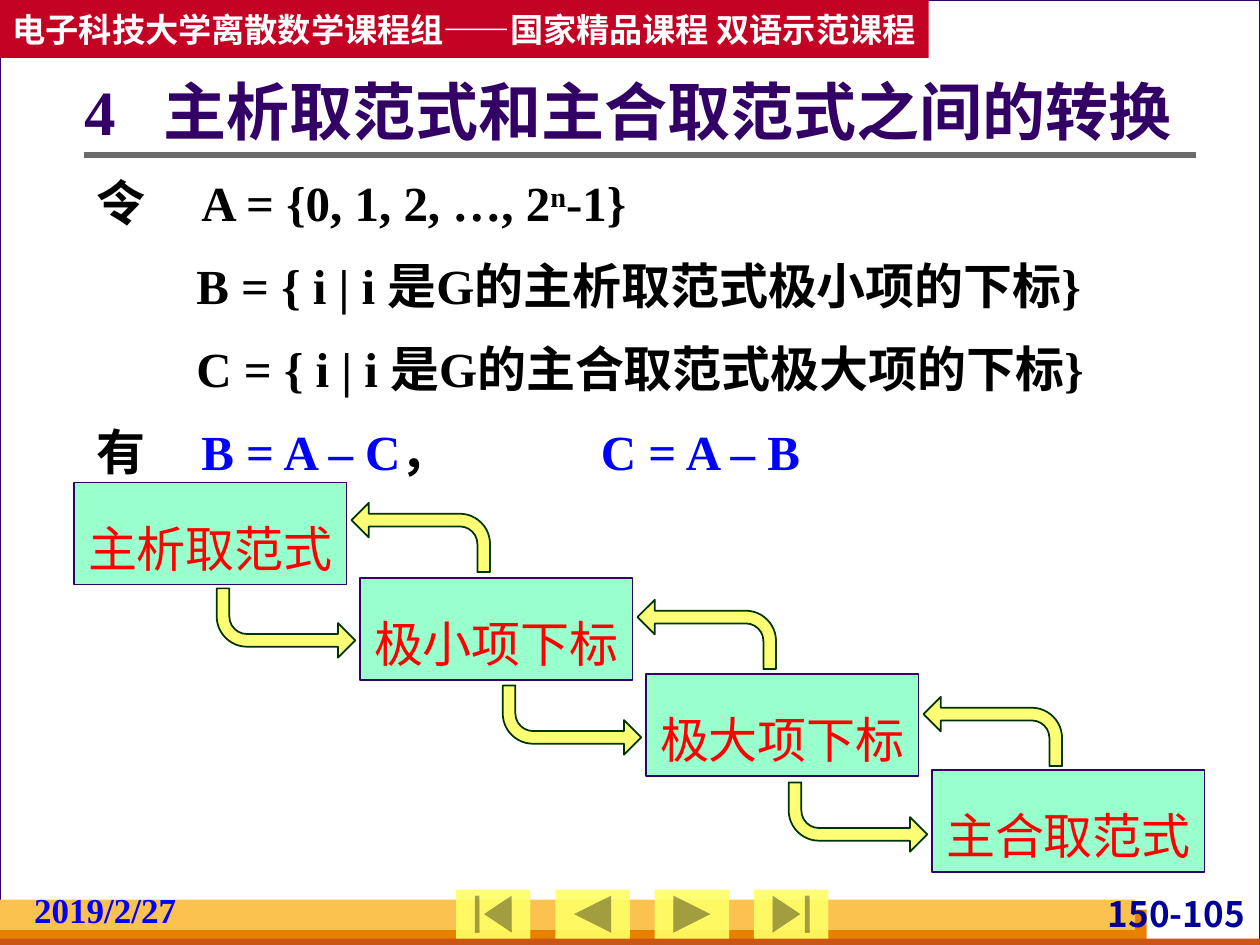
from dataclasses import dataclass

from lxml import etree
from pptx import Presentation
from pptx import util as u
from pptx.dml.color import RGBColor
from pptx.enum import shapes, text
from pptx.oxml.ns import qn

CELL = 0.1  # inches; the slide is a grid of 100 columns by 75 rows
COLS, ROWS = 100, 75
SHAPE = shapes.MSO_SHAPE
ALIGN = text.PP_ALIGN
ANCHOR = text.MSO_ANCHOR


@dataclass(frozen=True)
class Theme:
    serif: str = "Times New Roman"
    sans: str = "Noto Sans CJK SC"
    title_size: int = 36
    body_size: int = 28
    footer_size: int = 20
    header_size: int = 19
    backdrop: str = "D8DADA"
    paper: str = "FFFFFF"
    ink: str = "000000"
    purple: str = "330066"
    blue: str = "0000FF"
    navy: str = "000099"
    red: str = "FF0000"
    banner: str = "C30224"
    rule: str = "6B6B6B"
    orange: str = "E88000"
    rust: str = "C95616"
    gold: str = "FCC24F"
    mint: str = "99FFCC"
    yellow: str = "FFFF66"
    arrow_edge: str = "003300"


T = Theme()


def grid(n):
    return u.Inches(n * CELL)


def rgb(colour):
    return RGBColor.from_string(colour)


def add_shape(slide, kind, at, fill, line=None, width=1, alpha=None):
    sp = slide.shapes.add_shape(kind, *map(grid, at))
    sp.shadow.inherit = False
    sp.fill.solid()
    sp.fill.fore_color.rgb = rgb(fill)
    if alpha:
        clr = sp._element.spPr.find(qn("a:solidFill"))[0]
        etree.SubElement(clr, qn("a:alpha")).set("val", str(alpha * 1000))
    if line:
        sp.line.color.rgb = rgb(line)
        sp.line.width = u.Pt(width)
    else:
        sp.line.fill.background()
    return sp


def set_frame(sp, margins=(1, 0.5), anchor=ANCHOR.TOP, wrap=True):
    """Set the margins (side, top and bottom), anchor and wrapping of a text frame."""
    tf = sp.text_frame
    tf.margin_left = tf.margin_right = grid(margins[0])
    tf.margin_top = tf.margin_bottom = grid(margins[1])
    tf.vertical_anchor = anchor
    tf.word_wrap = wrap
    return tf


def set_tabs(p, *stops):
    tabs = etree.SubElement(p._p.get_or_add_pPr(), qn("a:tabLst"))
    for stop in stops:
        tab = etree.SubElement(tabs, qn("a:tab"))
        tab.set("pos", str(grid(stop)))
        tab.set("algn", "l")


def write(p, words, size, colour, font=T.serif, bold=True, align=ALIGN.LEFT, spacing=None):
    """Style a paragraph and fill it with words, or with (words, run colour, baseline) parts."""
    p.alignment = align
    if spacing:
        p.line_spacing = spacing
    f = p.font
    f.name, f.size, f.bold = font, u.Pt(size), bold
    f.color.rgb = rgb(colour)
    parts = [(words, None, None)] if isinstance(words, str) else words
    for part, run_colour, baseline in parts:
        r = p.add_run()
        r.text = part
        if run_colour:
            r.font.color.rgb = rgb(run_colour)
        if baseline:
            r.font._element.set("baseline", str(baseline * 1000))


def add_text(slide, at, **frame):
    return set_frame(slide.shapes.add_textbox(*map(grid, at)), **frame)


def add_rule(slide, left, right, y):
    line = slide.shapes.add_connector(
        shapes.MSO_CONNECTOR.STRAIGHT, grid(left), grid(y), grid(right), grid(y))
    line.line.color.rgb = rgb(T.rule)
    line.line.width = u.Pt(3)
    etree.SubElement(line._element.spPr, qn("a:effectLst"))


def add_bent_arrow(slide, left, top, flip):
    sp = add_shape(slide, SHAPE.BENT_ARROW, (left, top, 11, 5.5),
                   T.yellow, T.arrow_edge, alpha=90)
    for i, value in enumerate((0.183, 0.25, 0.25, 0.438)):
        sp.adjustments[i] = value
    sp._element.spPr.get_or_add_xfrm().set(flip, "1")


def add_frame(slide):
    """Page, footer bands, navigation buttons and banner."""
    add_shape(slide, SHAPE.RECTANGLE, (0, 0, COLS, ROWS), T.paper, T.purple, 0.75)
    for at, fill in (((0, 72.2, 91, 2.8), T.orange),
                     ((0, 74.5, COLS, 0.8), T.rust),
                     ((0, 71.4, 90.1, 2.4), T.gold)):
        add_shape(slide, SHAPE.RECTANGLE, at, fill)
    tf = add_text(slide, (87, 70.8, 12.2, 3.3), margins=(0.4, 0))
    write(tf.paragraphs[0], "150-105", T.footer_size, T.navy, T.sans, align=ALIGN.RIGHT)
    add_rule(slide, 6.7, 94.9, 12.3)
    buttons = (SHAPE.ACTION_BUTTON_BEGINNING, SHAPE.ACTION_BUTTON_BACK_OR_PREVIOUS,
               SHAPE.ACTION_BUTTON_FORWARD_OR_NEXT, SHAPE.ACTION_BUTTON_END)
    for i, kind in enumerate(buttons):
        add_shape(slide, kind, (36.2 + 7.88 * i, 70.6, 5.9, 3.9), T.yellow, alpha=90)
    banner = add_shape(slide, SHAPE.RECTANGLE, (0, 0, 73.7, 4.6), T.banner)
    tf = set_frame(banner, (0.4, 0.5), ANCHOR.MIDDLE, wrap=False)
    write(tf.paragraphs[0], "电子科技大学离散数学课程组——国家精品课程 双语示范课程",
          T.header_size, T.paper, T.sans, align=ALIGN.CENTER)
    tf = add_text(slide, (2.3, 70.5, 16.5, 3.3), margins=(0.4, 0))
    write(tf.paragraphs[0], "2019/2/27", T.footer_size, T.blue)


def add_title(slide):
    tf = add_text(slide, (6.7, 6, 90.6, 6.3), margins=(0, 0.5), anchor=ANCHOR.MIDDLE)
    p = tf.paragraphs[0]
    set_tabs(p, 6.3)
    write(p, "4\t主析取范式和主合取范式之间的转换", T.title_size, T.purple, spacing=0.9)


def add_body(slide):
    lines = (
        [("令\tA = {0, 1, 2, …, 2", None, None), ("n", None, 30), ("-1}", None, None)],
        "B = { i | i 是G的主析取范式极小项的下标}",
        "C = { i | i 是G的主合取范式极大项的下标}",
        [("有\t", None, None), ("B = A – C", T.blue, None), ("，\t", None, None),
         ("C = A – B", T.blue, None)],
    )
    tf = add_text(slide, (6.7, 12.3, 88.2, 26.4))
    for i, words in enumerate(lines):
        p = tf.add_paragraph() if i else tf.paragraphs[0]
        if i:
            p.space_before = u.Pt(7)
        if isinstance(words, str):
            pPr = p._p.get_or_add_pPr()
            pPr.set("marL", str(grid(7.9)))
            pPr.set("indent", "0")
        else:
            set_tabs(p, 8.3, 40)
        write(p, words, T.body_size, T.ink, align=ALIGN.JUSTIFY, spacing=1.2)


def add_staircase(slide):
    """Boxes stepping down to the right, with an arrow each way between neighbours."""
    step_x, step_y = 22.7, 7.6
    labels = ("主析取范式", "极小项下标", "极大项下标", "主合取范式")
    for i, label in enumerate(labels):
        sp = add_shape(slide, SHAPE.RECTANGLE,
                       (5.9 + step_x * i, 38.3 + step_y * i, 21.6, 8.1), T.mint, T.purple)
        write(set_frame(sp, wrap=False).paragraphs[0], label, T.body_size, T.red,
              bold=False, align=ALIGN.CENTER, spacing=1.5)
    for i in range(len(labels) - 1):
        add_bent_arrow(slide, 17.2 + step_x * i, 46.7 + 7.7 * i, "flipV")
        add_bent_arrow(slide, 27.9 + step_x * i, 39.9 + 7.7 * i, "flipH")


def main():
    prs = Presentation()
    prs.slide_width, prs.slide_height = grid(COLS), grid(ROWS)
    slide = prs.slides.add_slide(prs.slide_layouts[6])
    slide.background.fill.solid()
    slide.background.fill.fore_color.rgb = rgb(T.backdrop)
    add_frame(slide)
    add_title(slide)
    add_body(slide)
    add_staircase(slide)
    prs.save("out.pptx")


if __name__ == "__main__":
    main()
